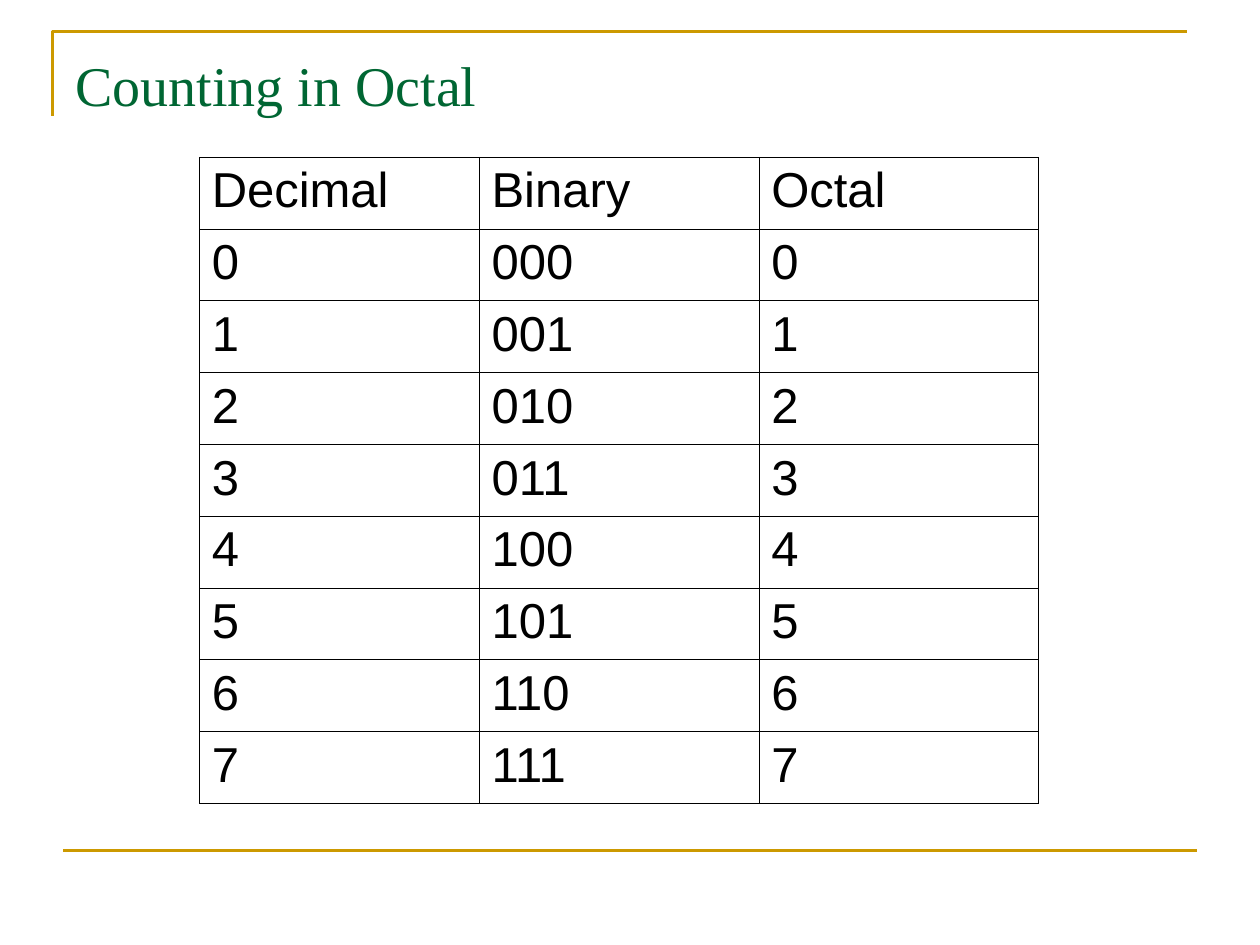
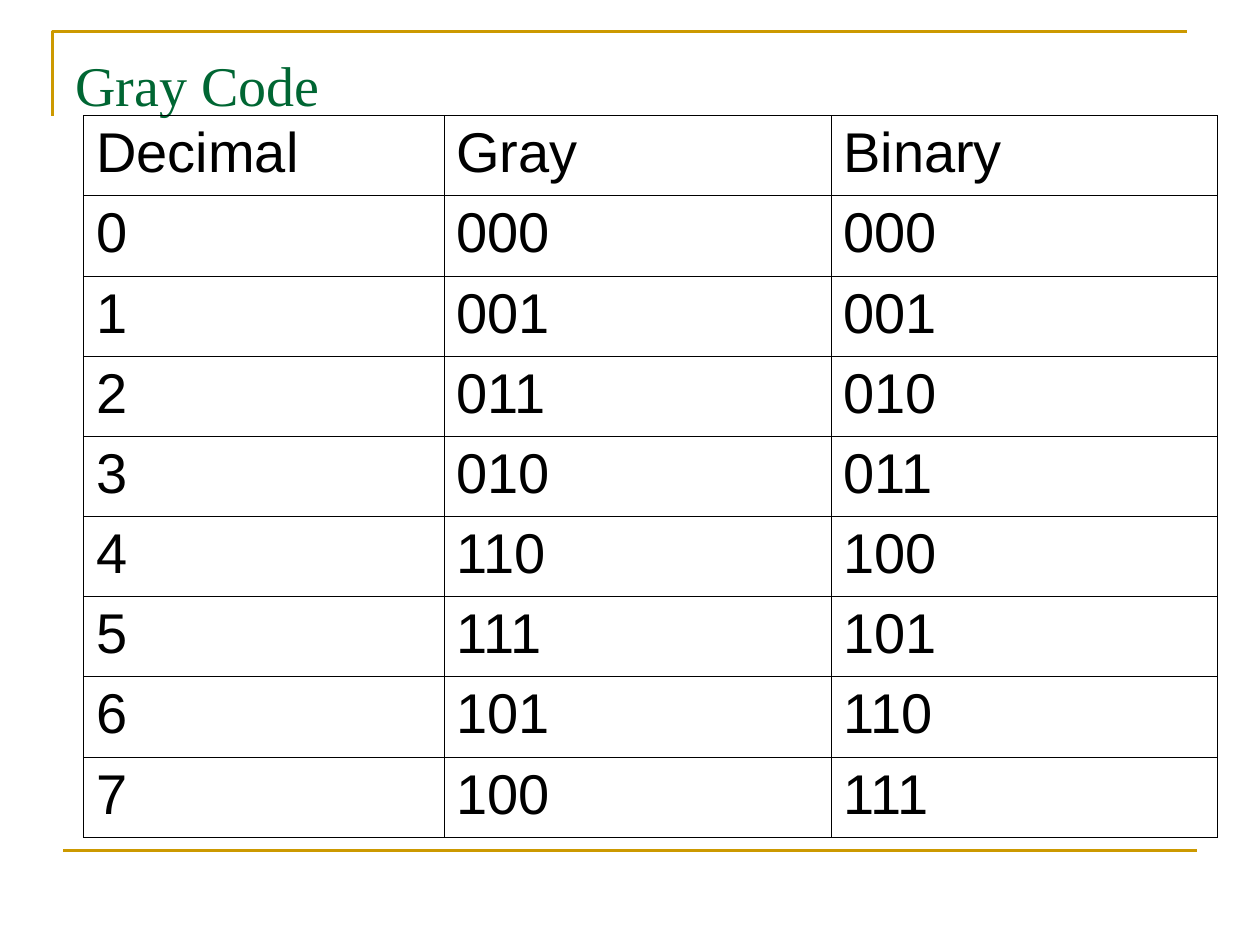
from pptx import Presentation
from pptx.dml.color import RGBColor as RGB
from pptx.enum.shapes import MSO_CONNECTOR as Link
from pptx.enum.text import MSO_ANCHOR as Anchor, PP_ALIGN as Align
from pptx.oxml.ns import qn
from pptx.util import Cm, Pt
from lxml.etree import SubElement as Sub

# Content
COUNT = [f"{n:03b}" for n in range(8)]
GRAY = [f"{n ^ n >> 1:03b}" for n in range(8)]
DIGITS = [str(n) for n in range(8)]

SLIDES = [
    {"title": "Counting in Octal",
     "cols": [("Decimal", DIGITS, 5.64), ("Binary", COUNT, 5.64),
              ("Octal", DIGITS, 5.64)],
     "left": 4.02, "top": 3.17, "row": 1.44, "size": 28,
     "align": Align.JUSTIFY},
    {"title": "Gray Code",
     "cols": [("Decimal", DIGITS, 7.26), ("Gray", GRAY, 7.8),
              ("Binary", COUNT, 7.8)],
     "left": 1.69, "top": 2.33, "row": 1.61, "size": 32,
     "align": Align.LEFT},
]

# Shared look
HUES = {"gold": "CC9900", "green": "006633", "black": "000000"}
BRACKET = [(1.06, 2.33), (1.06, 0.64), (23.92, 0.64)]
RULE = (1.27, 17.15, 24.13, 17.15)
HEAD = (1.27, 0.76, 22.86, 3.18)
FRAME = {"word_wrap": True, "vertical_anchor": Anchor.TOP,
         "margin_left": Cm(0.25), "margin_right": Cm(0.25),
         "margin_top": Cm(0.25), "margin_bottom": Cm(0.13)}
CELL = {"vertical_anchor": Anchor.TOP,
        "margin_left": Cm(0.25), "margin_right": Cm(0.25),
        "margin_top": Cm(0.13), "margin_bottom": Cm(0.13)}
PLAIN = {"first_row": False, "horz_banding": False}
INDENT = Cm(0.95)
EDGE = Pt(0.45)


def apply(item, form):
    for key, value in form.items():
        setattr(item, key, value)


def write(para, text, face, size, hue):
    run = para.add_run()
    run.text = text
    apply(run.font, {"name": face, "size": Pt(size)})
    run.font.color.rgb = RGB.from_string(HUES[hue])


def stroke(line):
    line.color.rgb = RGB.from_string(HUES["gold"])
    line.width = Pt(1.5)


def add_frame(slide):
    # Corner bracket
    first, *rest = [(Cm(x), Cm(y)) for x, y in BRACKET]
    pen = slide.shapes.build_freeform(*first)
    pen.add_line_segments(rest, close=False)
    corner = pen.convert_to_shape()
    corner.shadow.inherit = False
    corner.fill.background()
    stroke(corner.line)
    # Bottom rule
    rule = slide.shapes.add_connector(Link.STRAIGHT, *map(Cm, RULE))
    stroke(rule.line)
    Sub(rule._element.spPr, qn("a:effectLst"))


def add_title(slide, text):
    frame = slide.shapes.add_textbox(*map(Cm, HEAD)).text_frame
    apply(frame, FRAME)
    write(frame.paragraphs[0], text, "Times New Roman", 32, "green")


def add_edges(cell):
    props = cell._tc.get_or_add_tcPr()
    for side in ("lnL", "lnR", "lnT", "lnB"):
        line = Sub(props, qn(f"a:{side}"), w=str(int(EDGE)))
        fill = Sub(line, qn("a:solidFill"))
        Sub(fill, qn("a:srgbClr"), val=HUES["black"])


def add_grid(slide, data):
    cols, high = data["cols"], data["row"]
    count = len(cols[0][1]) + 1
    wide = sum(width for _, _, width in cols)
    place = (data["left"], data["top"], wide, high * count)
    grid = slide.shapes.add_table(count, len(cols), *map(Cm, place)).table
    apply(grid, PLAIN)
    for row in grid.rows:
        row.height = Cm(high)
    for c, (name, values, width) in enumerate(cols):
        grid.columns[c].width = Cm(width)
        for r, text in enumerate([name, *values]):
            cell = grid.cell(r, c)
            apply(cell, CELL)
            add_edges(cell)
            cell.fill.background()
            para = cell.text_frame.paragraphs[0]
            para.alignment = data["align"]
            props = para._p.get_or_add_pPr()
            props.set("marL", str(int(INDENT)))
            props.set("indent", str(-int(INDENT)))
            write(para, text, "Arial", data["size"], "black")


def main():
    deck = Presentation()
    apply(deck, {"slide_width": Cm(25.4), "slide_height": Cm(19.05)})
    for data in SLIDES:
        slide = deck.slides.add_slide(deck.slide_layouts[6])
        add_frame(slide)
        add_title(slide, data["title"])
        add_grid(slide, data)
    deck.save("out.pptx")


if __name__ == "__main__":
    main()
